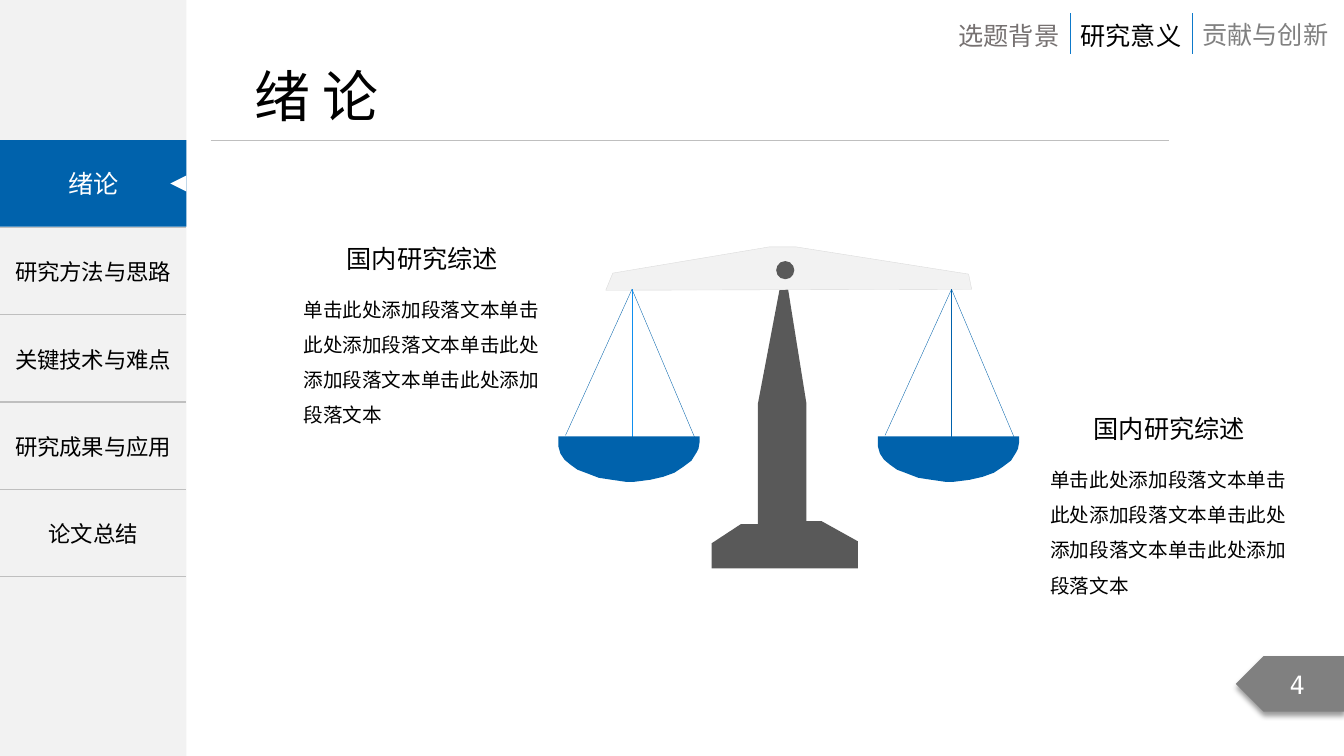
from typing import NamedTuple

from lxml import etree
from pptx import Presentation
from pptx import util as u
from pptx.dml.color import RGBColor
from pptx.enum import shapes, text
from pptx.oxml import parse_xml
from pptx.oxml.ns import nsdecls, qn

# The slide is a grid of square cells, ten to the inch
COLS, ROWS = 133.33, 75
SIDE, TAB_TOP, TAB_H = 18.5, 13.9, 8.66
CJK, MONO = "Noto Sans CJK SC", "DejaVu Sans Mono"
C = {"panel": "F2F2F2", "rule": "BFBFBF", "edge": "D9D9D9", "blue": "0062AC",
     "sky": "0F8FEF", "divider": "0D79CA", "gray": "808080", "muted": "767171",
     "dark": "595959", "black": "000000", "white": "FFFFFF"}
ALIGN, ANCHOR, PRESET = text.PP_ALIGN, text.MSO_ANCHOR, shapes.MSO_SHAPE


class Box(NamedTuple):
    left: float
    top: float
    width: float
    height: float


class Crumb(NamedTuple):
    label: str
    box: Box
    color: str


class Review(NamedTuple):
    left: float
    top: float


class Pan(NamedTuple):
    left: float
    middle_rope: str


CRUMBS = [Crumb("选题背景", Box(94.1, 1.5, 12.1, 4), "muted"),
          Crumb("研究意义", Box(106.2, 1.5, 12.1, 4), "black"),
          Crumb("贡献与创新", Box(118.3, 1.4, 14.6, 4), "gray")]
TABS = ["", "研究方法与思路", "关键技术与难点", "研究成果与应用", "论文总结"]
REVIEWS = [Review(103.3, 40.5), Review(29.2, 23.6)]
REVIEW_TITLE = "国内研究综述"
REVIEW_BODY = "单击此处添加段落文本" * 4
PANS = [Pan(87.1, "blue"), Pan(55.4, "sky")]

# Scale outlines; the bowl is measured from the left of its pan
POST = [(77.8, 26.3), (80, 40), (80, 51.7), (81.5, 51.7), (85.1, 53.7), (85.1, 56.4),
        (70.6, 56.4), (70.6, 53.9), (73.5, 52), (75.2, 52), (75.2, 40)]
BEAM = [(60.1, 28.8), (96.4, 28.7), (96.1, 27.2), (79, 24.5), (76.3, 24.5), (60.8, 27.1)]
BOWL = [(0, 43.3), (0, 44.3), (0.2, 45), (0.6, 45.6), (1.2, 46.1), (1.9, 46.6),
        (2.7, 46.9), (4, 47.4), (5.3, 47.6), (6.7, 47.8), (7.5, 47.8), (9.1, 47.6),
        (10.4, 47.3), (11.5, 46.9), (12.4, 46.3), (13.2, 45.7), (13.7, 44.9),
        (13.9, 44.5), (14, 43.9), (14, 43.3)]


def grid(n: float) -> int:
    return u.Inches(n / 10)


def rgb(name: str) -> RGBColor:
    return RGBColor.from_string(C[name])


def add_run(p, words: str, size: float, color: str, font: str = CJK) -> None:
    r = p.add_run()
    r.text = words
    r.font.size = u.Pt(size)
    r.font.color.rgb = rgb(color)
    r.font.name = font
    latin = r.font._element.find(qn("a:latin"))
    latin.addnext(parse_xml(f'<a:ea {nsdecls("a")} typeface="{font}"/>'))


def paint(sp, fill: str, line: str = "", weight: float = 0.25) -> None:
    sp.shadow.inherit = False
    sp.fill.solid()
    sp.fill.fore_color.rgb = rgb(fill)
    if line:
        sp.line.color.rgb = rgb(line)
        sp.line.width = u.Pt(weight)
    else:
        sp.line.fill.background()


def add_preset(s, kind, box: Box, fill: str):
    sp = s.shapes.add_shape(kind, *map(grid, box))
    paint(sp, fill)
    return sp


def add_outline(s, points, fill: str, line: str = "") -> None:
    start, *rest = [(grid(x), grid(y)) for x, y in points]
    builder = s.shapes.build_freeform(*start, scale=1.0)
    builder.add_line_segments(rest, close=True)
    paint(builder.convert_to_shape(), fill, line)


def add_line(s, x1: float, y1: float, x2: float, y2: float, color: str,
             weight: float) -> None:
    ln = s.shapes.add_connector(shapes.MSO_CONNECTOR.STRAIGHT, *map(grid, (x1, y1, x2, y2)))
    ln.line.color.rgb = rgb(color)
    ln.line.width = u.Pt(weight)
    etree.SubElement(ln._element.spPr, qn("a:effectLst"))


def add_label(s, box: Box, words: str, size: float, color: str = "black",
              wrap: bool = False, align=ALIGN.LEFT, spacing: float = 1.0) -> None:
    tf = s.shapes.add_textbox(*map(grid, box)).text_frame
    tf.word_wrap = wrap
    tf.auto_size = text.MSO_AUTO_SIZE.SHAPE_TO_FIT_TEXT
    if wrap:
        tf.margin_left = tf.margin_right = grid(0.9)
    p = tf.paragraphs[0]
    p.alignment, p.line_spacing = align, spacing
    add_run(p, words, size, color)


def center_text(sp, words: str, size: float, color: str, font: str = CJK) -> None:
    tf = sp.text_frame
    tf.vertical_anchor = ANCHOR.MIDDLE
    tf.paragraphs[0].alignment = ALIGN.CENTER
    add_run(tf.paragraphs[0], words, size, color, font)


def add_title(s) -> None:
    title = s.shapes.title
    title.left, title.top, title.width, title.height = map(grid, (24.2, 5.6, 16, 7.7))
    tf = title.text_frame
    tf.word_wrap = False
    tf.auto_size = text.MSO_AUTO_SIZE.NONE
    tf.vertical_anchor = ANCHOR.TOP
    tf.paragraphs[0].alignment = ALIGN.LEFT
    add_run(tf.paragraphs[0], "绪 论", 40, "black")


def add_page_tag(s) -> None:
    tag = add_preset(s, PRESET.PENTAGON, Box(122.6, 65.1, 10.8, 5.5), "gray")
    tag._element.spPr.find(qn("a:xfrm")).set("flipH", "1")
    tag._element.spPr.find(qn("a:effectLst")).append(parse_xml(
        f'<a:outerShdw {nsdecls("a")} blurRad="{u.Pt(4)}" dist="{u.Pt(3)}" dir="5400000">'
        f'<a:srgbClr val="{C["black"]}"><a:alpha val="40000"/></a:srgbClr></a:outerShdw>'))
    center_text(tag, "4", 18, "white", MONO)


def add_tabs(s) -> None:
    frame = s.shapes.add_table(len(TABS), 1, *map(grid, (0, TAB_TOP, SIDE, TAB_H * len(TABS))))
    table = frame.table
    table.first_row = table.horz_banding = False
    style = table._tbl.tblPr.find(qn("a:tableStyleId"))
    style.text = "{2D5ABB26-0587-4C30-8999-92F81FD0307C}"
    for i, label in enumerate(TABS):
        cell = table.cell(i, 0)
        cell.fill.background()
        cell.vertical_anchor = ANCHOR.MIDDLE
        for k, side in enumerate(("lnT", "lnB")):
            cell._tc.get_or_add_tcPr().insert(k, parse_xml(
                f'<a:{side} {nsdecls("a")} w="{u.Pt(1)}"><a:solidFill>'
                f'<a:srgbClr val="{C["rule"]}"/></a:solidFill></a:{side}>'))
        if label:
            p = cell.text_frame.paragraphs[0]
            p.alignment = ALIGN.CENTER
            add_run(p, label, 16, "black")
    active = s.shapes.add_group_shape()
    tab = add_preset(active, PRESET.RECTANGLE, Box(0, TAB_TOP, SIDE, 8.6), "blue")
    center_text(tab, "绪论", 18, "white")
    pointer = add_preset(active, PRESET.ISOSCELES_TRIANGLE, Box(16.9, 17.4, 1.6, 1.6), "white")
    pointer.rotation = 270


def add_pan(s, pan: Pan) -> None:
    group = s.shapes.add_group_shape()
    ropes = [(13.6, 43.6, "blue"), (7.3, 43.5, pan.middle_rope), (0.7, 43.2, "blue")]
    for dx, bottom, color in ropes:
        add_line(group, pan.left + 7.3, 28.7, pan.left + dx, bottom, color, 0.25)
    add_outline(group, [(pan.left + x, y) for x, y in BOWL], "blue")


def main() -> None:
    prs = Presentation()
    prs.slide_width, prs.slide_height = grid(COLS), grid(ROWS)
    s = prs.slides.add_slide(prs.slide_layouts[5])

    # Frame: side panel, title, page tag
    add_preset(s, PRESET.RECTANGLE, Box(0, 0, SIDE, ROWS), "panel")
    add_line(s, 20.9, TAB_TOP, 116, TAB_TOP, "rule", 0.5)
    add_title(s)
    add_page_tag(s)

    # Navigation: section crumbs and chapter tabs
    for i, crumb in enumerate(CRUMBS):
        if i:
            add_line(s, crumb.box.left, 1.3, crumb.box.left, 5.4, "divider", 0.5)
        add_label(s, crumb.box, crumb.label, 18, crumb.color)
    add_tabs(s)

    # Balance scale
    add_outline(s, POST, "dark")
    add_outline(s, BEAM, "panel", "edge")
    add_preset(s, PRESET.OVAL, Box(77, 25.9, 1.8, 1.8), "dark")
    for pan in PANS:
        add_pan(s, pan)

    # Reviews beside the scale
    for left, top in REVIEWS:
        add_label(s, Box(left + 2.4, top, 20.6, 3.9), REVIEW_TITLE, 18, wrap=True,
                  align=ALIGN.CENTER)
        add_label(s, Box(left, top + 4.25, 25.6, 14.6), REVIEW_BODY, 14, wrap=True, spacing=1.5)

    prs.save("out.pptx")


if __name__ == "__main__":
    main()
